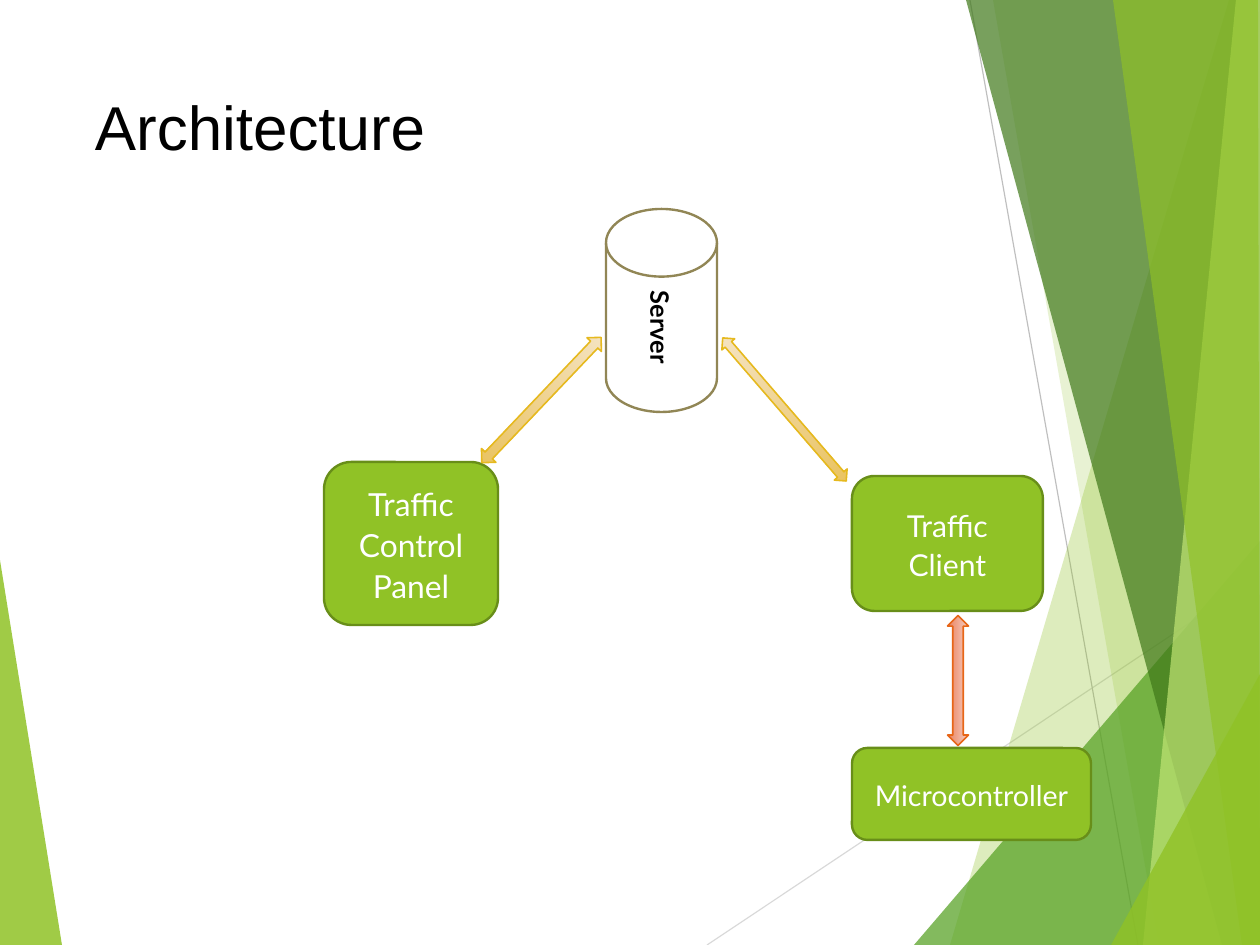
from dataclasses import dataclass

import lxml.etree
import pptx
import pptx.dml.color
import pptx.enum.shapes
import pptx.enum.text
import pptx.oxml.ns
import pptx.util

PX = 8000  # EMU in one px: the page is 28 by 21 cm
WIDTH, HEIGHT = 1260, 945
SHAPES = pptx.enum.shapes.MSO_SHAPE
ALIGN = pptx.enum.text.PP_ALIGN
ANCHOR = pptx.enum.text.MSO_ANCHOR


@dataclass(frozen=True)
class Theme:
    lime: str = "90C226"
    lime_edge: str = "688E19"
    pale_lime: str = "C0E474"
    green: str = "54A021"
    dark_green: str = "3F7819"
    white: str = "FFFFFF"
    black: str = "000000"
    drum_edge: str = "918655"
    gold: tuple = ("F5E4C4", "E9C25E", "E6B91E")  # gradient start, end, outline
    orange: tuple = ("F5CDC3", "EA815C", "E76618")
    light_grey: str = "D9D9D9"
    grey: str = "BFBFBF"
    title_font: str = "Arial"
    body_font: str = "Lato"
    title_size: int = 39
    panel_size: int = 20
    client_size: int = 19
    controller_size: int = 18
    server_size: int = 16


THEME = Theme()

# Background facets: colour, opacity in percent, corners
FACETS = [
    (THEME.lime, 85, [(0, 560), (62, HEIGHT), (0, HEIGHT)]),
    (THEME.lime, 30, [(1229, 0), (950, HEIGHT), (WIDTH, HEIGHT), (WIDTH, 0)]),
    (THEME.lime, 20, [(993, 0), (1159, HEIGHT), (WIDTH, HEIGHT), (WIDTH, 0)]),
    (THEME.green, 72, [(914, HEIGHT), (WIDTH, 541), (WIDTH, HEIGHT)]),
    (THEME.dark_green, 70, [(966, 0), (1222, HEIGHT), (WIDTH, HEIGHT), (WIDTH, 0)]),
    (THEME.pale_lime, 70, [(1236, 0), (1143, HEIGHT), (WIDTH, HEIGHT), (WIDTH, 0)]),
    (THEME.lime, 65, [(1113, 0), (1242, HEIGHT), (WIDTH, HEIGHT), (1258, 0)]),
    (THEME.lime, 80, [(1111, HEIGHT), (WIDTH, 674), (WIDTH, HEIGHT)]),
]

# Rounded boxes: text, place, type size
BOXES = [
    ("Traffic Client", (852, 476, 191, 135), THEME.client_size),
    ("Traffic Control Panel", (324, 462, 174, 163), THEME.panel_size),
    ("Microcontroller", (852, 748, 239, 92), THEME.controller_size),
]

# Double arrows: place before rotation, rotation, gradient direction, colours
ARROWS = [
    ((455, 390, 173, 20), 313.6, 136, THEME.gold),
    ((893, 670, 130, 21), 270, 180, THEME.orange),
    ((690, 401, 189, 17), 49.2, 41, THEME.gold),
]


def rgb(code):
    return pptx.dml.color.RGBColor.from_string(code)


def emu(*lengths):
    return [length * PX for length in lengths]


def write_text(shape, text, *, size, color, font=THEME.body_font, bold=False,
               align=ALIGN.CENTER, anchor=ANCHOR.MIDDLE, margins=(9, 5),
               line_spacing=1.07, space_after=6.6):
    frame = shape.text_frame
    frame.word_wrap = True
    frame.auto_size = pptx.enum.text.MSO_AUTO_SIZE.NONE
    frame.vertical_anchor = anchor
    frame.margin_left = frame.margin_right = margins[0] * PX
    frame.margin_top = frame.margin_bottom = margins[1] * PX
    para = frame.paragraphs[0]
    para.alignment = align
    para.line_spacing = line_spacing
    para.space_after = pptx.util.Pt(space_after)
    span = para.add_run()
    span.text = text
    span.font.name = font
    span.font.size = pptx.util.Pt(size)
    span.font.bold = bold
    span.font.color.rgb = rgb(color)


def add_facet(page, color, opacity, corners):
    builder = page.shapes.build_freeform(*corners[0], scale=PX)
    builder.add_line_segments(corners[1:], close=True)
    facet = builder.convert_to_shape()
    facet.shadow.inherit = False
    facet.fill.solid()
    facet.fill.fore_color.rgb = rgb(color)
    facet.line.fill.background()
    color_node = facet._element.spPr.find(".//" + pptx.oxml.ns.qn("a:srgbClr"))
    alpha = lxml.etree.SubElement(color_node, pptx.oxml.ns.qn("a:alpha"))
    alpha.set("val", str(opacity * 1000))


def add_hairline(page, start, end, color):
    line = page.shapes.add_connector(
        pptx.enum.shapes.MSO_CONNECTOR.STRAIGHT, *emu(*start, *end))
    line.line.color.rgb = rgb(color)
    line.line.width = pptx.util.Pt(0.75)
    lxml.etree.SubElement(line._element.spPr, pptx.oxml.ns.qn("a:effectLst"))


def add_outlined(page, kind, place, edge, width, fill=None):
    shape = page.shapes.add_shape(kind, *emu(*place))
    shape.shadow.inherit = False
    if fill:
        shape.fill.solid()
        shape.fill.fore_color.rgb = rgb(fill)
    shape.line.color.rgb = rgb(edge)
    shape.line.width = pptx.util.Pt(width)
    return shape


def add_box(page, text, place, size):
    box = add_outlined(page, SHAPES.ROUNDED_RECTANGLE, place,
                       THEME.lime_edge, 1.5, THEME.lime)
    write_text(box, text, size=size, color=THEME.white)


def add_server(page):
    drum = add_outlined(page, SHAPES.FLOWCHART_DIRECT_ACCESS_STORAGE,
                        (560, 255, 203, 111), THEME.drum_edge, 1.5, THEME.white)
    drum.rotation = 270
    drum._element.spPr.xfrm.set("flipV", "1")
    write_text(drum, "Server", size=THEME.server_size, color=THEME.black, bold=True)


def add_arrow(page, place, rotation, direction, colors):
    start, end, edge = colors
    arrow = add_outlined(page, SHAPES.LEFT_RIGHT_ARROW, place, edge, 1)
    arrow.rotation = rotation
    arrow.fill.gradient()
    arrow.fill.gradient_angle = 360 - direction
    for stop, color, position in zip(arrow.fill.gradient_stops, (start, end), (0, 1)):
        stop.color.rgb = rgb(color)
        stop.position = position
    # The gradient keeps its direction when the arrow turns
    gradient = arrow._element.spPr.find(pptx.oxml.ns.qn("a:gradFill"))
    gradient.set("rotWithShape", "0")


def add_title(page, text):
    title = page.shapes.title
    title.left, title.top, title.width, title.height = emu(84, 83, 874, 182)
    write_text(title, text, size=THEME.title_size, color=THEME.black,
               font=THEME.title_font, align=ALIGN.LEFT, anchor=ANCHOR.TOP,
               margins=(11, 6), line_spacing=1.0, space_after=0)


def main():
    deck = pptx.Presentation()
    deck.slide_width, deck.slide_height = emu(WIDTH, HEIGHT)
    page = deck.slides.add_slide(deck.slide_layouts[5])
    add_title(page, "Architecture")

    # Background
    add_hairline(page, (707, HEIGHT), (WIDTH, 576), THEME.light_grey)
    add_hairline(page, (970, 0), (1138, HEIGHT), THEME.grey)
    for facet in FACETS:
        add_facet(page, *facet)

    # Diagram
    for box in BOXES:
        add_box(page, *box)
    add_server(page)
    for arrow in ARROWS:
        add_arrow(page, *arrow)

    deck.save("out.pptx")


if __name__ == "__main__":
    main()
